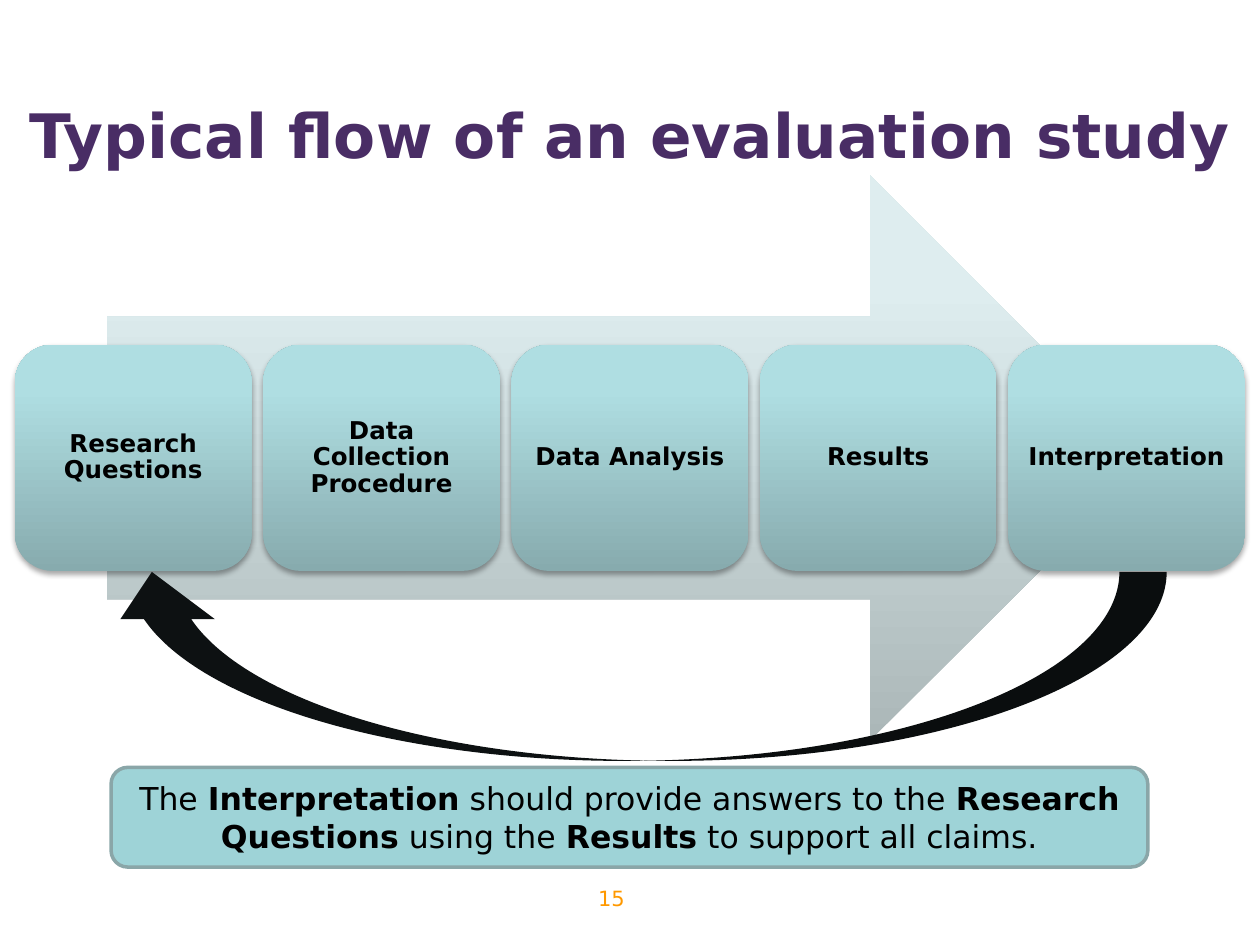
from copy import deepcopy

from lxml import etree
from pptx import Presentation
from pptx.dml.color import RGBColor
from pptx.enum.shapes import MSO_SHAPE
from pptx.enum.text import MSO_ANCHOR, PP_ALIGN
from pptx.oxml.ns import qn
from pptx.util import Cm, Pt

RIGHT_ARROW = MSO_SHAPE.RIGHT_ARROW
ROUND_RECT = MSO_SHAPE.ROUNDED_RECTANGLE
CURVED_ARROW = MSO_SHAPE.CURVED_UP_ARROW
CENTER = PP_ALIGN.CENTER
TOP, MIDDLE = MSO_ANCHOR.TOP, MSO_ANCHOR.MIDDLE

FONT = "DejaVu Sans"
BLACK = "000000"
ARROW_STOPS = [(0, "ABB7B8"), (0.8, "DEEDEF"), (1, "DFEFF0")]
CARD_STOPS = [(0, "87ABAE"), (0.8, "AFDEE2"), (1, "AFE0E4")]
STEPS = ["Research Questions", "Data Collection Procedure", "Data Analysis",
         "Results", "Interpretation"]
NOTE = [("The ", False), ("Interpretation", True),
        (" should provide answers to the ", False),
        ("Research Questions", True), (" using the ", False),
        ("Results", True), (" to support all claims.", False)]


def rgb(value):
    """Turn a hex string into a colour."""
    return RGBColor.from_string(value)


def set_text(sp, runs, size, color=BLACK, bold=False, anchor=MIDDLE,
             margin=None, spacing=None):
    """Write a string or (text, bold) runs as one centred paragraph."""
    tf = sp.text_frame
    tf.word_wrap = True
    tf.vertical_anchor = anchor
    if margin is not None:
        tf.margin_left = tf.margin_right = Cm(margin)
        tf.margin_top = tf.margin_bottom = Cm(margin)
    p = tf.paragraphs[0]
    p.alignment = CENTER
    p.line_spacing = spacing
    for text, strong in [(runs, bold)] if isinstance(runs, str) else runs:
        r = p.add_run()
        r.text = text
        r.font.name = FONT
        r.font.size = Pt(size)
        r.font.bold = strong
        r.font.color.rgb = rgb(color)


def add_label(slide, box, text, size, **fmt):
    """Add a text box."""
    sp = slide.shapes.add_textbox(*map(Cm, box))
    set_text(sp, text, size, **fmt)


def add_shape(slide, kind, box, fill=None, line=None):
    """Add a preset shape without shadow."""
    sp = slide.shapes.add_shape(kind, *map(Cm, box))
    sp.shadow.inherit = False
    if fill:
        sp.fill.solid()
        sp.fill.fore_color.rgb = rgb(fill)
    if line:
        sp.line.color.rgb = rgb(line)
        sp.line.width = Pt(2)
    else:
        sp.line.fill.background()
    return sp


def set_gradient(sp, stops):
    """Fill a shape with a gradient that runs from bottom to top."""
    sp.fill.gradient()
    sp.fill.gradient_angle = 90
    gs_list = next(sp._element.spPr.iter(qn("a:gsLst")))
    while len(gs_list) < len(stops):
        gs_list.append(deepcopy(gs_list[-1]))
    for stop, (position, color) in zip(sp.fill.gradient_stops, stops):
        stop.position = position
        stop.color.rgb = rgb(color)


def add_shadow(sp):
    """Give a shape a soft shadow below it."""
    effects = sp._element.spPr.find(qn("a:effectLst"))
    shadow = etree.SubElement(effects, qn("a:outerShdw"), blurRad="40000",
                              dist="23000", dir="5400000", rotWithShape="0")
    color = etree.SubElement(shadow, qn("a:srgbClr"), val=BLACK)
    etree.SubElement(color, qn("a:alpha"), val="35000")


def add_flow(slide, box, steps):
    """Draw the step cards in a row over a wide arrow."""
    left, top, width, height = box
    arrow_w = width * 0.85
    arrow = add_shape(slide, RIGHT_ARROW,
                      (left + (width - arrow_w) / 2, top, arrow_w, height))
    set_gradient(arrow, ARROW_STOPS)
    gap = 0.23
    card_w = (width - gap * (len(steps) - 1)) / len(steps)
    card_h = height * 0.4
    card_top = top + (height - card_h) / 2
    for i, step in enumerate(steps):
        card = add_shape(slide, ROUND_RECT,
                         (left + i * (card_w + gap), card_top, card_w, card_h))
        set_gradient(card, CARD_STOPS)
        add_shadow(card)
        set_text(card, step, 14, bold=True, margin=0.15, spacing=0.9)


def add_feedback(slide, box):
    """Draw the return arrow and the note below it."""
    left, top, width, height = box
    arrow = add_shape(slide, CURVED_ARROW, (left, top, width, 3.81), "0D1112")
    arrow._element.spPr.find(qn("a:xfrm")).set("flipH", "1")
    note_h = 2.01
    note = add_shape(slide, ROUND_RECT,
                     (left + 0.13, top + height - note_h, width - 0.51, note_h),
                     "9ED3D7", "8AA6A8")
    set_text(note, NOTE, 18)


def main():
    """Build the slide and save it."""
    prs = Presentation()
    prs.slide_width, prs.slide_height = Cm(25.4), Cm(19.05)
    slide = prs.slides.add_slide(prs.slide_layouts[6])
    add_label(slide, (0.3, 1.12, 24.8, 3.18),
              "Typical flow of an evaluation study", 35,
              color="492D65", bold=True)
    add_label(slide, (8.3, 17.73, 8.05, 1.32), "15", 12,
              color="FF9900", anchor=TOP)
    add_flow(slide, (0.3, 3.53, 24.8, 11.4), STEPS)
    add_feedback(slide, (2.11, 11.53, 21.41, 5.95))
    prs.save("out.pptx")


if __name__ == "__main__":
    main()
